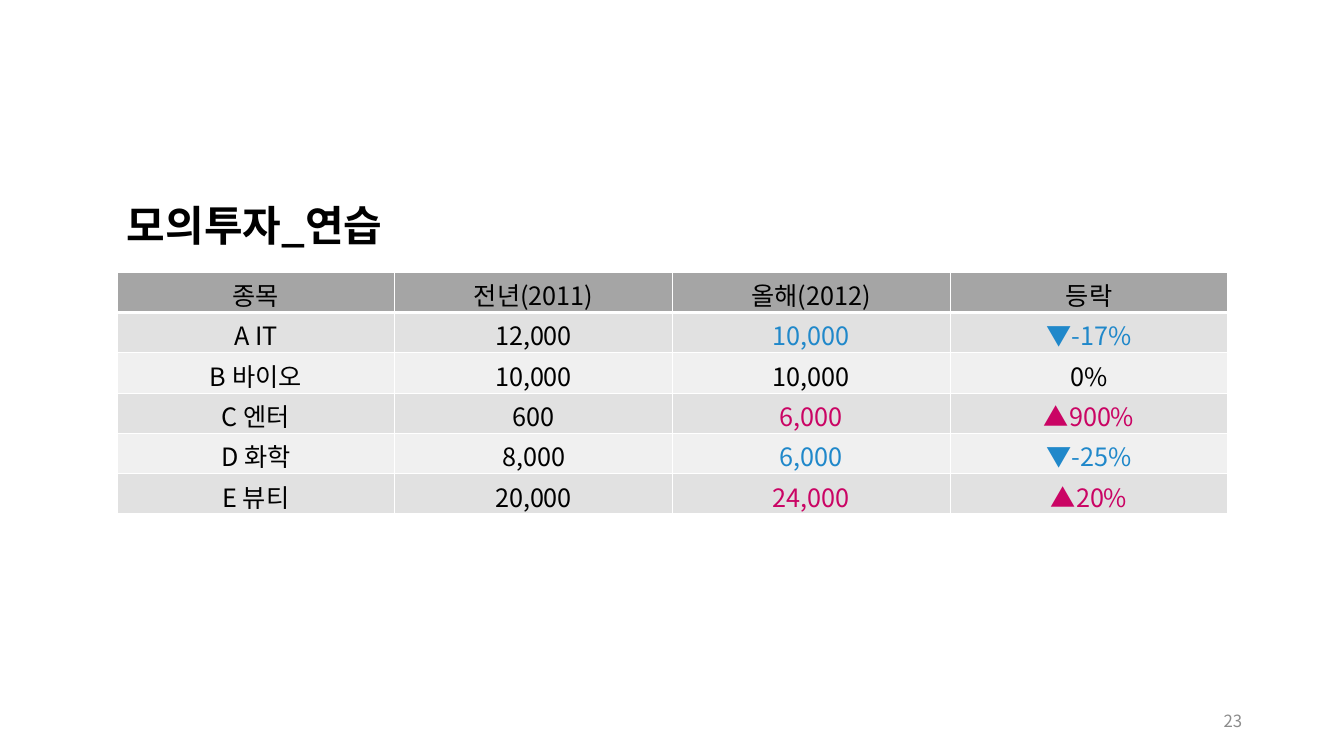
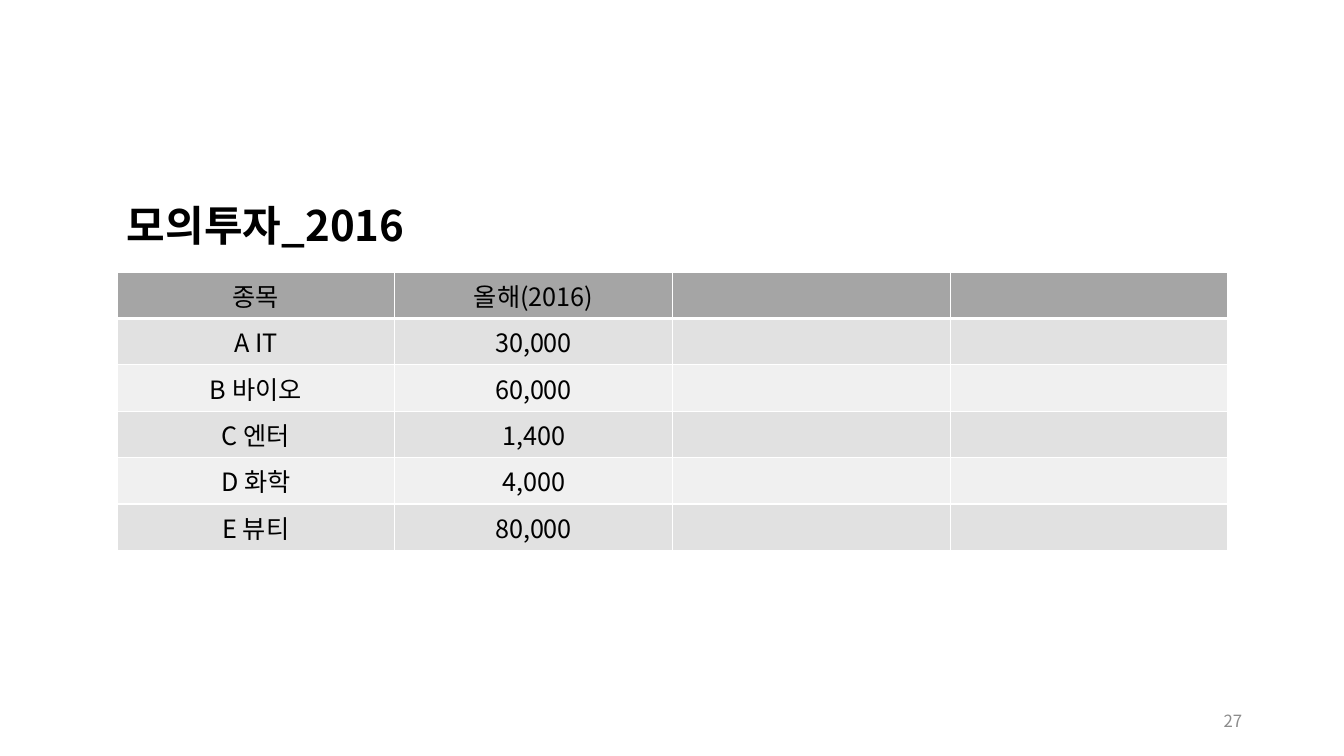
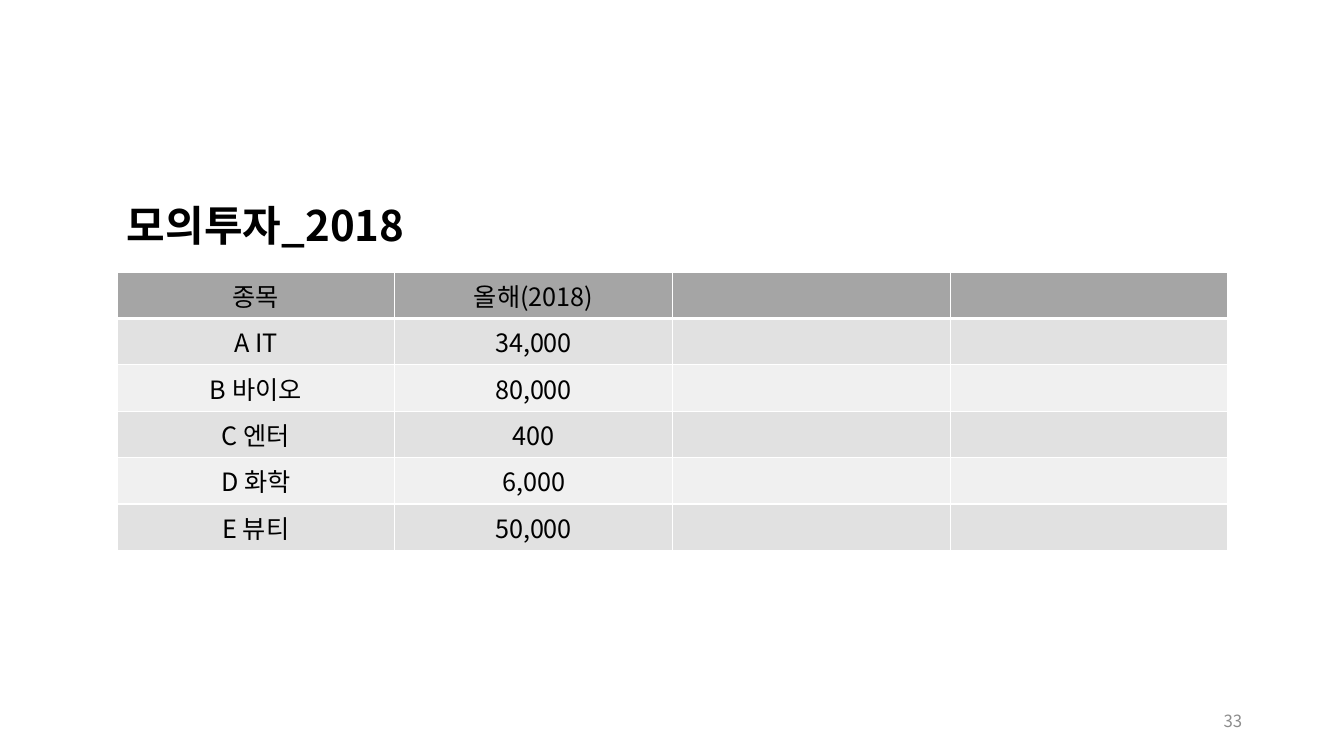
from dataclasses import dataclass

from lxml.etree import SubElement
from pptx import Presentation
from pptx.dml.color import RGBColor
from pptx.enum.text import MSO_ANCHOR, MSO_AUTO_SIZE, PP_ALIGN
from pptx.oxml.ns import qn
from pptx.slide import Slide
from pptx.table import _Cell
from pptx.text.text import TextFrame
from pptx.util import Inches, Pt

FONT = "Noto Sans CJK KR"
BLACK = RGBColor(0x00, 0x00, 0x00)
WHITE = RGBColor(0xFF, 0xFF, 0xFF)
PAGE_GRAY = RGBColor(0x8C, 0x8C, 0x8C)
HEADER_GRAY = RGBColor(0xA5, 0xA5, 0xA5)
BANDS = (RGBColor(0xE1, 0xE1, 0xE1), RGBColor(0xF0, 0xF0, 0xF0))
TREND_COLORS = {"▼": RGBColor(0x20, 0x88, 0xCA), "▲": RGBColor(0xCA, 0x04, 0x64)}

SLIDE_WIDTH, SLIDE_HEIGHT = Inches(13.33), Inches(7.5)
LEFT = Inches(1.16)
TABLE_TOP = Inches(2.7)
TABLE_WIDTH = Inches(11.02)
COLUMNS = 4
FIRST_TREND_COLUMN = 2
STOCKS = ("A IT", "B 바이오", "C 엔터", "D 화학", "E 뷰티")


@dataclass(frozen=True)
class PriceSheet:
    """One slide: the price columns stand beside the stock names."""

    page: int
    subject: str
    headings: tuple[str, ...]
    prices: tuple[tuple[str, ...], ...]
    row_height: float
    margin_top: float = 0.05
    margin_bottom: float = 0.05


SHEETS = (
    PriceSheet(
        23, "연습", ("전년(2011)", "올해(2012)", "등락"),
        (
            ("12,000", "10,000", "▼-17%"),
            ("10,000", "10,000", "0%"),
            ("600", "6,000", "▲900%"),
            ("8,000", "6,000", "▼-25%"),
            ("20,000", "24,000", "▲20%"),
        ),
        row_height=0.4, margin_top=0.04, margin_bottom=0,
    ),
    PriceSheet(
        27, "2016", ("올해(2016)",),
        (("30,000",), ("60,000",), ("1,400",), ("4,000",), ("80,000",)),
        row_height=0.46,
    ),
    PriceSheet(
        33, "2018", ("올해(2018)",),
        (("34,000",), ("80,000",), ("400",), ("6,000",), ("50,000",)),
        row_height=0.46,
    ),
)


def write(frame: TextFrame, text: str, size: int, color: RGBColor,
          align: PP_ALIGN = PP_ALIGN.LEFT, bold: bool = False) -> None:
    frame.text = text
    paragraph = frame.paragraphs[0]
    paragraph.alignment = align
    for run in paragraph.runs:
        run.font.size = Pt(size)
        run.font.bold = bold
        run.font.color.rgb = color
        run.font.name = FONT
        SubElement(run.font._element, qn("a:ea"), typeface=FONT)


def set_borders(cell: _Cell, top: int, bottom: int) -> None:
    """Draw white borders; they must precede the fill in the cell's XML."""
    properties = cell._tc.get_or_add_tcPr()
    for side, width in (("L", 1), ("R", 1), ("T", top), ("B", bottom)):
        border = SubElement(properties, qn(f"a:ln{side}"), w=str(Pt(width)))
        fill = SubElement(border, qn("a:solidFill"))
        SubElement(fill, qn("a:srgbClr"), val=str(WHITE))


def add_title(slide: Slide, subject: str) -> None:
    frame = slide.shapes.add_textbox(LEFT, Inches(1.93), Inches(5.47), Inches(0.61)).text_frame
    frame.word_wrap = True
    frame.auto_size = MSO_AUTO_SIZE.SHAPE_TO_FIT_TEXT
    write(frame, f"모의투자_{subject}", 30, BLACK, bold=True)


def add_page_number(slide: Slide, page: int) -> None:
    frame = slide.shapes.add_textbox(Inches(9.42), Inches(6.95), Inches(3), Inches(0.4)).text_frame
    frame.word_wrap = True
    frame.vertical_anchor = MSO_ANCHOR.MIDDLE
    write(frame, str(page), 12, PAGE_GRAY, PP_ALIGN.RIGHT)


def add_price_table(slide: Slide, sheet: PriceSheet) -> None:
    lines = [("종목", *sheet.headings)]
    lines += [(stock, *prices) for stock, prices in zip(STOCKS, sheet.prices)]
    row_height = Inches(sheet.row_height)
    table = slide.shapes.add_table(
        len(lines), COLUMNS, LEFT, TABLE_TOP, TABLE_WIDTH, row_height * len(lines)
    ).table
    table.horz_banding = False
    for row, line in enumerate(lines):
        table.rows[row].height = row_height
        trend_color = TREND_COLORS.get(line[-1][0], BLACK)
        for column in range(COLUMNS):
            cell = table.cell(row, column)
            cell.margin_top = Inches(sheet.margin_top)
            cell.margin_bottom = Inches(sheet.margin_bottom)
            set_borders(cell, top=3 if row == 1 else 1, bottom=3 if row == 0 else 1)
            cell.fill.solid()
            cell.fill.fore_color.rgb = BANDS[(row - 1) % 2] if row else HEADER_GRAY
            if column < len(line):
                color = trend_color if column >= FIRST_TREND_COLUMN else BLACK
                write(cell.text_frame, line[column], 18, color, PP_ALIGN.CENTER)


def main() -> None:
    deck = Presentation()
    deck.slide_width, deck.slide_height = SLIDE_WIDTH, SLIDE_HEIGHT
    blank = deck.slide_layouts[6]
    for sheet in SHEETS:
        slide = deck.slides.add_slide(blank)
        add_page_number(slide, sheet.page)
        add_title(slide, sheet.subject)
        add_price_table(slide, sheet)
    deck.save("out.pptx")


if __name__ == "__main__":
    main()
